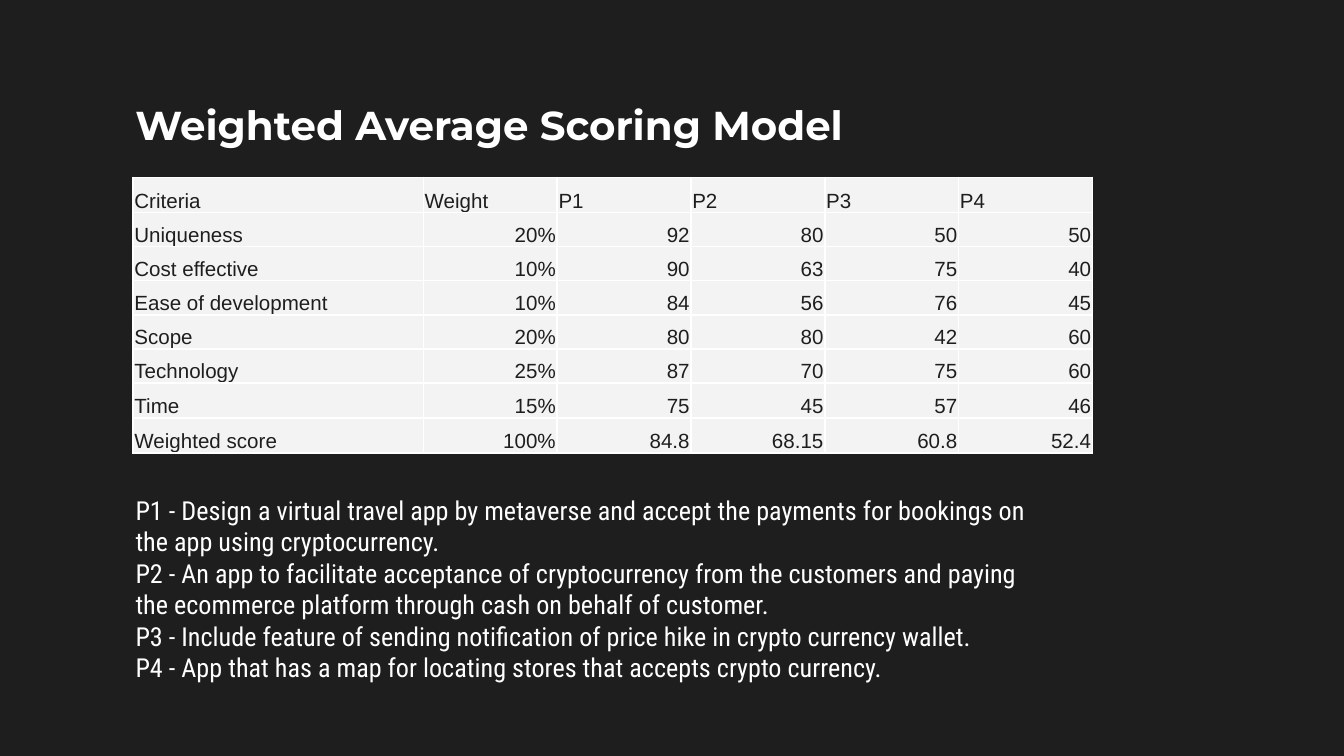
from lxml import etree
from pptx import Presentation
from pptx.dml.color import RGBColor
from pptx.enum.text import MSO_ANCHOR as Anchor, MSO_AUTO_SIZE as AutoSize, PP_ALIGN as Align
from pptx.oxml.ns import qn
from pptx.util import Inches, Pt

# Content
TITLE = "Weighted Average Scoring Model"
SCORES = [
    ("Criteria", "Weight", "P1", "P2", "P3", "P4"),
    ("Uniqueness", "20%", "92", "80", "50", "50"),
    ("Cost effective", "10%", "90", "63", "75", "40"),
    ("Ease of development", "10%", "84", "56", "76", "45"),
    ("Scope", "20%", "80", "80", "42", "60"),
    ("Technology", "25%", "87", "70", "75", "60"),
    ("Time ", "15%", "75", "45", "57", "46"),
    ("Weighted score", "100%", "84.8", "68.15", "60.8", "52.4"),
]
PROJECTS = [
    "P1 - Design a virtual travel app by metaverse and accept the payments "
    "for bookings on the app using cryptocurrency. ",
    "P2 - An app to facilitate acceptance of cryptocurrency from the customers "
    "and paying the ecommerce platform through cash on behalf of customer.",
    "P3 - Include feature of sending notification of price hike in crypto currency wallet.",
    "P4 - App that has a map for locating stores that accepts crypto currency.",
]
DARK, WHITE, CELL = "1E1E1E", "FFFFFF", "F3F3F3"

# Table grid: the equal columns and rows share what the others leave
TABLE_W, TABLE_H = 7.14, 2.05
CRITERIA_W, TALL_ROW = 2.16, 0.26
COL_WIDTHS = [CRITERIA_W] + [(TABLE_W - CRITERIA_W) / 5] * 5
ROW_HEIGHTS = [TALL_ROW] + [(TABLE_H - 3 * TALL_ROW) / 5] * 5 + [TALL_ROW] * 2


def rgb(value):
    return RGBColor.from_string(value)


def write(tf, *lines, font="Arial", size=11, color=WHITE, bold=False, align=Align.LEFT):
    for i, line in enumerate(lines):
        p = tf.add_paragraph() if i else tf.paragraphs[0]
        p.alignment = align
        r = p.add_run()
        r.text = line
        r.font.name, r.font.size, r.font.bold = font, Pt(size), bold
        r.font.color.rgb = rgb(color)


def add_text_box(s, box, *lines, **fmt):
    tf = s.shapes.add_textbox(*map(Inches, box)).text_frame
    tf.word_wrap = True
    write(tf, *lines, **fmt)
    return tf


def add_borders(cell, color, width):
    tc_pr = cell._tc.get_or_add_tcPr()
    for i, side in enumerate(("lnL", "lnR", "lnT", "lnB")):
        ln = etree.Element(qn(f"a:{side}"), w=str(Pt(width)))
        fill = etree.SubElement(ln, qn("a:solidFill"))
        etree.SubElement(fill, qn("a:srgbClr"), val=color)
        tc_pr.insert(i, ln)


# 16:9 slide
prs = Presentation()
prs.slide_width, prs.slide_height = Inches(10), Inches(10 * 9 / 16)
s = prs.slides.add_slide(prs.slide_layouts[6])
s.background.fill.solid()
s.background.fill.fore_color.rgb = rgb(DARK)

# Title
title = add_text_box(s, (0.91, 0.67, 8.44, 0.51), TITLE,
                     font="Montserrat", size=21.6, bold=True)
title.vertical_anchor = Anchor.MIDDLE
title.margin_top = title.margin_bottom = Inches(0.1)

# Score table
table = s.shapes.add_table(
    len(SCORES), len(COL_WIDTHS), Inches(0.99), Inches(1.32),
    Inches(TABLE_W), Inches(TABLE_H)).table
for col, width in zip(table.columns, COL_WIDTHS):
    col.width = Inches(width)
for row, height in zip(table.rows, ROW_HEIGHTS):
    row.height = Inches(height)
for i, values in enumerate(SCORES):
    for j, value in enumerate(values):
        cell = table.cell(i, j)
        write(cell.text_frame, value, color=DARK,
              align=Align.RIGHT if i and j else Align.LEFT)
        cell.vertical_anchor = Anchor.BOTTOM
        cell.margin_left = cell.margin_top = cell.margin_right = Inches(0.01)
        cell.margin_bottom = 0
        cell.fill.solid()
        cell.fill.fore_color.rgb = rgb(CELL)
        add_borders(cell, WHITE, 1)

# Project descriptions
projects = add_text_box(s, (0.91, 3.63, 6.92, 1.75), *PROJECTS,
                        font="Roboto Condensed", size=14)
projects.auto_size = AutoSize.SHAPE_TO_FIT_TEXT

prs.save("out.pptx")
